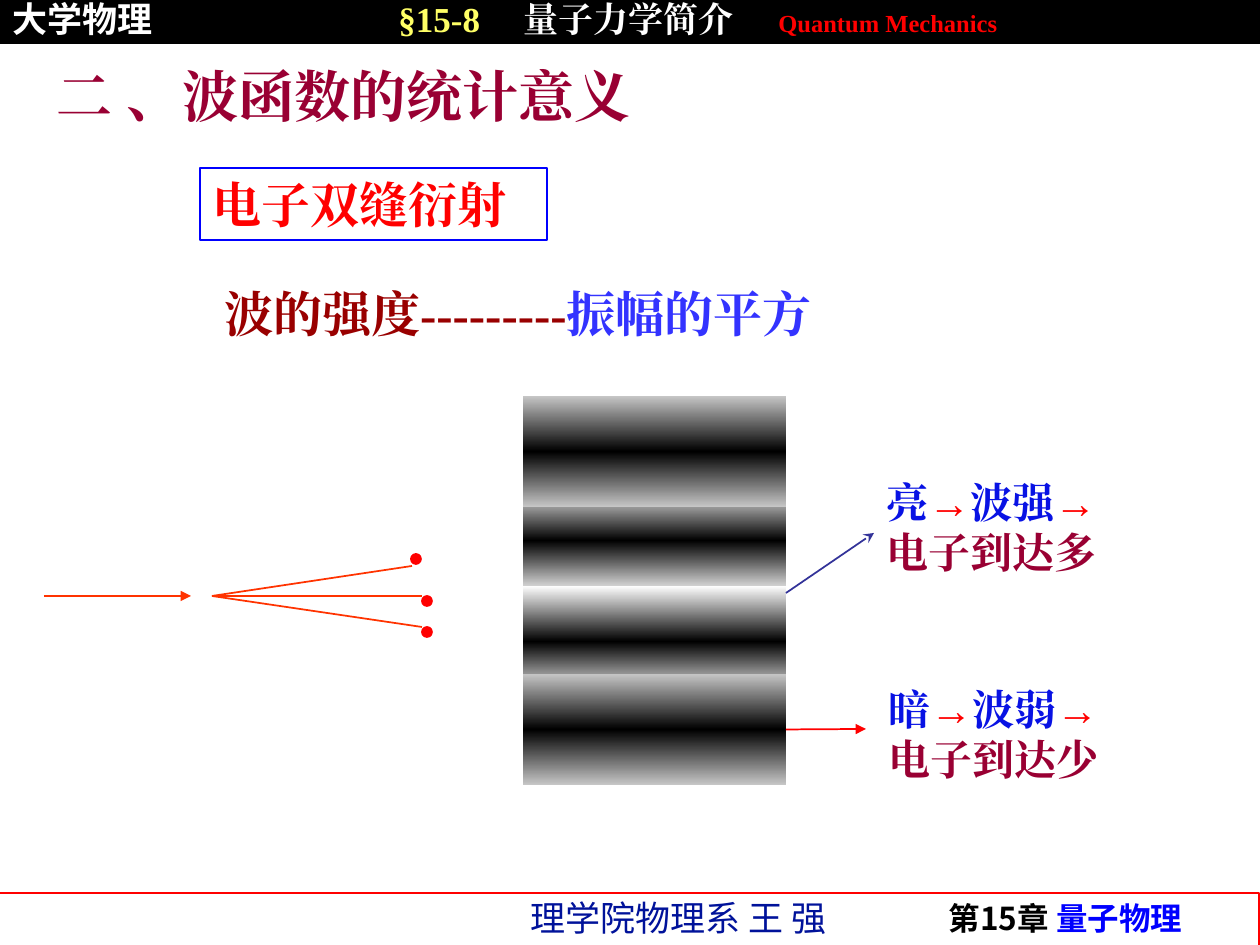
from typing import NamedTuple

from lxml import etree
from pptx import Presentation
from pptx.dml.color import RGBColor
from pptx.enum.shapes import MSO_CONNECTOR, MSO_SHAPE
from pptx.enum.text import MSO_ANCHOR, MSO_AUTO_SIZE, PP_ALIGN
from pptx.oxml.ns import qn
from pptx.util import Pt

RECTANGLE, OVAL = MSO_SHAPE.RECTANGLE, MSO_SHAPE.OVAL
STRAIGHT = MSO_CONNECTOR.STRAIGHT
TOP, MIDDLE = MSO_ANCHOR.TOP, MSO_ANCHOR.MIDDLE
LEFT, CENTER = PP_ALIGN.LEFT, PP_ALIGN.CENTER
NO_AUTOFIT = MSO_AUTO_SIZE.NONE
RIGHT_SIDE = 3
EMU_PER_PX = 914400 / 126
SERIF, SANS, ARROW_FONT = "Times New Roman", "Noto Sans CJK SC", "Arial"

COLORS = {
    "black": "000000", "white": "FFFFFF", "silver": "C6C6C6", "yellow": "FFFF66",
    "red": "FF0000", "orange": "FF3300", "crimson": "990033", "maroon": "990000",
    "blue": "0000FF", "royal": "0812E4", "violet": "3333FF", "indigo": "333399",
    "navy": "00129A",
}


class Span(NamedTuple):
    text: str
    color: str
    size: int
    font: str = SERIF
    bold: bool = True


class Band(NamedTuple):
    top: int
    edge: str


class Ray(NamedTuple):
    end: tuple[int, int]
    dot: tuple[int, int]


class Outcome(NamedTuple):
    box: tuple[int, int, int, int]
    fringe: str
    wave: str
    result: str


# Listed from back to front: the bands overlap.
BANDS = [Band(485, "white"), Band(396, "silver"), Band(586, "white"), Band(674, "silver")]
RAYS = [
    Ray((412, 566), (411, 554)),
    Ray((422, 596), (422, 596)),
    Ray((422, 627), (422, 627)),
]
OUTCOMES = [
    Outcome((874, 470, 255, 113), "亮", "波强", "电子到达多"),
    Outcome((876, 677, 271, 113), "暗", "波弱", "电子到达少"),
]


def px(*lengths):
    return [round(length * EMU_PER_PX) for length in lengths]


def rgb(name: str) -> RGBColor:
    return RGBColor.from_string(COLORS[name])


def write(shape, spans: list[Span], *, align=LEFT, anchor=TOP, wrap=True,
          spacing=None, tabs=()):
    frame = shape.text_frame
    frame.word_wrap = wrap
    frame.auto_size = NO_AUTOFIT
    frame.vertical_anchor = anchor
    para = frame.paragraphs[0]
    para.alignment = align
    if spacing:
        para.line_spacing = spacing
    if tabs:
        stops = etree.SubElement(para._p.get_or_add_pPr(), qn("a:tabLst"))
        for position in tabs:
            etree.SubElement(stops, qn("a:tab"), pos=str(px(position)[0]), algn="l")
    for span in spans:
        run = para.add_run()
        run.text = span.text
        run.font.size = Pt(span.size)
        run.font.bold = span.bold
        run.font.color.rgb = rgb(span.color)
        run.font.name = span.font
        etree.SubElement(run._r.get_or_add_rPr(), qn("a:ea"), typeface=span.font)


def add_text(page, box, spans: list[Span], **layout):
    shape = page.shapes.add_textbox(*px(*box))
    write(shape, spans, **layout)
    return shape


def add_block(page, kind, box, *, fill=None, line=None, width=1):
    shape = page.shapes.add_shape(kind, *px(*box))
    shape.shadow.inherit = False
    if fill:
        shape.fill.solid()
        shape.fill.fore_color.rgb = rgb(fill)
    else:
        shape.fill.background()
    if line:
        shape.line.color.rgb = rgb(line)
        shape.line.width = Pt(width)
    else:
        shape.line.fill.background()
    return shape


def add_line(page, start, end, color: str, *, arrow=None):
    line = page.shapes.add_connector(STRAIGHT, *px(*start, *end))
    line.line.color.rgb = rgb(color)
    line.line.width = Pt(1)
    if arrow:
        etree.SubElement(line.line._get_or_add_ln(), qn("a:tailEnd"), type=arrow)
    etree.SubElement(line._element.spPr, qn("a:effectLst"))
    return line


def add_band(page, band: Band):
    """Draw an interference band that is black in the middle."""
    shape = add_block(page, RECTANGLE, (523, band.top, 263, 111))
    shape.fill.gradient()
    shape.fill.gradient_angle = 90
    stops = shape._element.spPr.find(qn("a:gradFill")).find(qn("a:gsLst"))
    for stop in list(stops):
        stops.remove(stop)
    for position, color in ((0, band.edge), (50000, "black"), (100000, band.edge)):
        stop = etree.SubElement(stops, qn("a:gs"), pos=str(position))
        etree.SubElement(stop, qn("a:srgbClr"), val=COLORS[color])
    return shape


def add_frame(page):
    """Draw the header bar and the footer."""
    add_block(page, RECTANGLE, (-1, 893, 1260, 53), fill="white", line="red", width=0.75)
    header = add_block(page, RECTANGLE, (0, 0, 1260, 44), fill="black")
    write(header, [
        Span("大学物理", "white", 20, SANS),
        Span("\t§15-8", "yellow", 20),
        Span("\t量子力学简介", "white", 20),
        Span("\tQuantum Mechanics", "red", 14),
    ], anchor=MIDDLE, spacing=0.8, tabs=(386, 511, 766))
    add_text(page, (518, 890, 340, 55),
             [Span("理学院物理系 王 强", "navy", 20, SANS, False)], wrap=False)
    add_text(page, (871, 900, 389, 43), [
        Span("第15章", "black", 18, SANS),
        Span(" 量子物理", "blue", 18, SANS),
    ], align=CENTER, spacing=0.8)


def add_outcome(page, outcome: Outcome):
    arrow = Span("→", "red", 24, ARROW_FONT)
    add_text(page, outcome.box, [
        Span(outcome.fringe, "royal", 24), arrow,
        Span(outcome.wave, "royal", 24), arrow,
        Span(outcome.result, "crimson", 24),
    ])


def main():
    deck = Presentation()
    deck.slide_width, deck.slide_height = px(1260, 945)
    page = deck.slides.add_slide(deck.slide_layouts[5])
    add_frame(page)

    title = page.shapes.title
    title.left, title.top, title.width, title.height = px(44, 55, 973, 81)
    write(title, [Span("二 、波函数的统计意义", "crimson", 32)])

    topic = add_block(page, RECTANGLE, (200, 168, 347, 72), line="blue")
    write(topic, [Span("电子双缝衍射", "red", 28)])
    add_text(page, (212, 277, 733, 72), [
        Span("波的强度---------", "maroon", 28),
        Span("振幅的平方", "violet", 28),
    ])

    add_line(page, (44, 596), (191, 596), "orange", arrow="triangle")
    for ray in RAYS:
        add_line(page, (212, 596), ray.end, "orange")
        add_block(page, OVAL, (*ray.dot, 10, 10), fill="red", line="red")

    bands = [add_band(page, band) for band in BANDS]
    add_line(page, (786, 593), (874, 533), "indigo", arrow="stealth")
    dark_arrow = add_line(page, (786, 729), (866, 729), "red", arrow="triangle")
    dark_arrow.begin_connect(bands[-1], RIGHT_SIDE)
    for outcome in OUTCOMES:
        add_outcome(page, outcome)

    deck.save("out.pptx")


if __name__ == "__main__":
    main()
